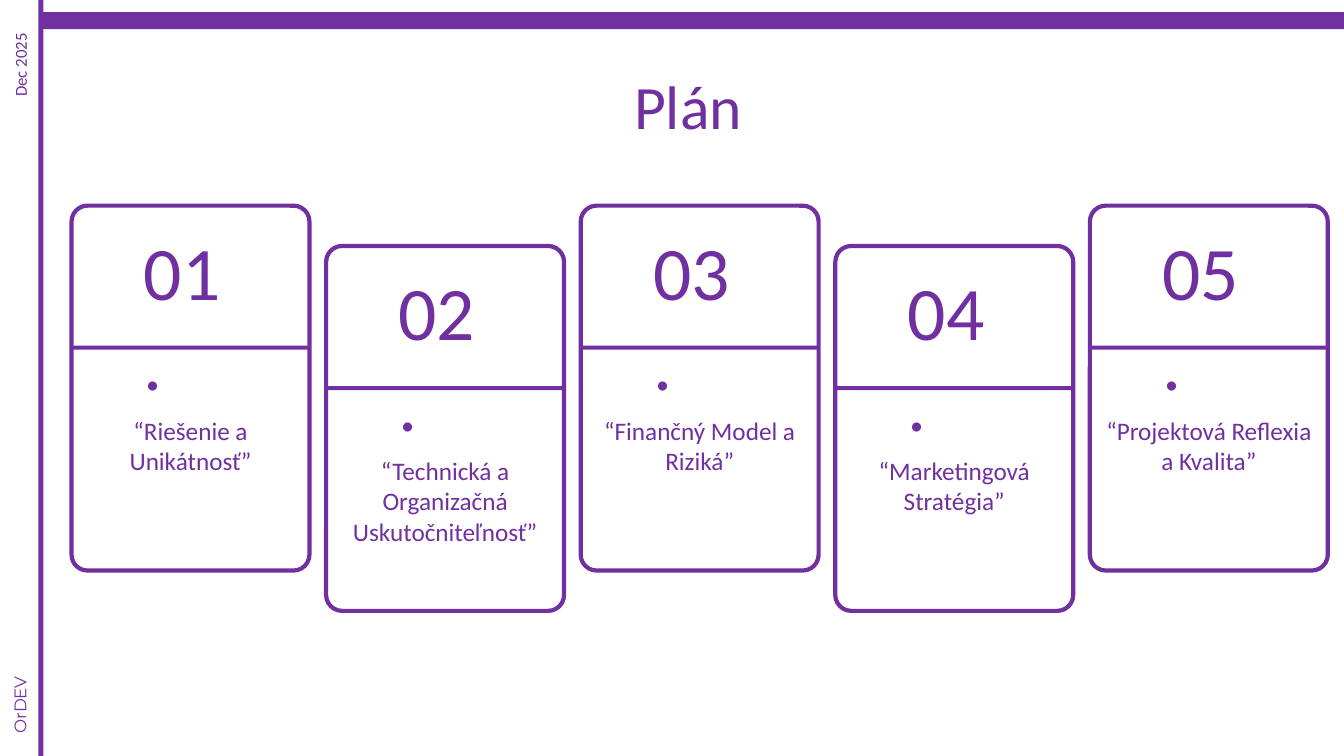
from dataclasses import dataclass

from pptx import Presentation
from pptx.dml.color import RGBColor
from pptx.enum.shapes import MSO_SHAPE
from pptx.enum.text import MSO_ANCHOR, MSO_AUTO_SIZE, PP_ALIGN
from pptx.util import Inches, Pt


@dataclass(frozen=True)
class Theme:
    main: RGBColor = RGBColor(0x70, 0x30, 0xA0)
    font: str = "Calibri"
    brand: str = "Montserrat"
    title: int = 44
    number: int = 54
    body: int = 18
    side: int = 12
    line: int = 3


class Deck:
    def __init__(self, theme):
        self.theme = theme
        self.prs = Presentation()
        self.prs.slide_width = Inches(13.33)
        self.prs.slide_height = Inches(7.5)
        self.slide = self.prs.slides.add_slide(self.prs.slide_layouts[5])

    def set_text(self, shape, text, size, font=None, align=PP_ALIGN.LEFT, wrap=True):
        frame = shape.text_frame
        frame.text = text
        frame.word_wrap = wrap
        frame.auto_size = MSO_AUTO_SIZE.NONE
        frame.vertical_anchor = MSO_ANCHOR.TOP
        para = frame.paragraphs[0]
        para.alignment = align
        for run in para.runs:
            run.font.name = font or self.theme.font
            run.font.size = Pt(size)
            run.font.color.rgb = self.theme.main

    def title(self, text, *box):
        shape = self.slide.shapes.title
        shape.left, shape.top, shape.width, shape.height = map(Inches, box)
        self.set_text(shape, text, self.theme.title)

    def label(self, text, size, *box, home=None, turn=0, **style):
        home = home or self.slide.shapes
        shape = home.add_textbox(*map(Inches, box))
        shape.rotation = turn
        self.set_text(shape, text, size, **style)

    def bar(self, *box, home=None):
        home = home or self.slide.shapes
        shape = home.add_shape(MSO_SHAPE.RECTANGLE, *map(Inches, box))
        shape.shadow.inherit = False
        shape.fill.solid()
        shape.fill.fore_color.rgb = self.theme.main
        shape.line.fill.background()

    def frame(self, *box, home):
        """Draw the rounded outline of a card."""
        shape = home.add_shape(MSO_SHAPE.ROUNDED_RECTANGLE, *map(Inches, box))
        shape.adjustments[0] = 0.067
        shape.shadow.inherit = False
        shape.fill.background()
        shape.line.color.rgb = self.theme.main
        shape.line.width = Pt(self.theme.line)

    def card(self, number, text, left, top):
        home = self.slide.shapes.add_group_shape().shapes
        self.frame(left, top, 2.36, 3.62, home=home)
        self.bar(left, top + 1.39, 2.36, 0.04, home=home)
        # The narrow box sends the full stop to a second line.
        self.label(f"{number:02}.", self.theme.number,
                   left + 0.62, top + 0.14, 1, 0.94, home=home)
        self.label(text, self.theme.body, left + 0.06, top + 2.03, 2.24, 0.94,
                   home=home, align=PP_ALIGN.CENTER)


TOPICS = [
    "“Riešenie a Unikátnosť”",
    "“Technická a Organizačná Uskutočniteľnosť”",
    "“Finančný Model a Riziká”",
    "“Marketingová Stratégia”",
    "“Projektová Reflexia a Kvalita”",
]


def main():
    theme = Theme()
    deck = Deck(theme)
    deck.bar(0.4, 0.12, 12.93, 0.17)
    deck.bar(0.38, 0, 0.05, 7.5)
    deck.label("Dec 2025", theme.side, -0.27, 0.44, 0.94, 0.3,
               turn=270, wrap=False)
    deck.label("OrDEV", theme.side, -0.25, 6.78, 0.89, 0.3,
               turn=270, wrap=False, font=theme.brand)
    deck.title("Plán", 6.19, 0.62, 1.63, 0.84)
    for i, topic in enumerate(TOPICS):
        deck.card(i + 1, topic, 0.71 + 2.525 * i, 2.04 + 0.4 * (i % 2))
    deck.prs.save("out.pptx")


if __name__ == "__main__":
    main()
